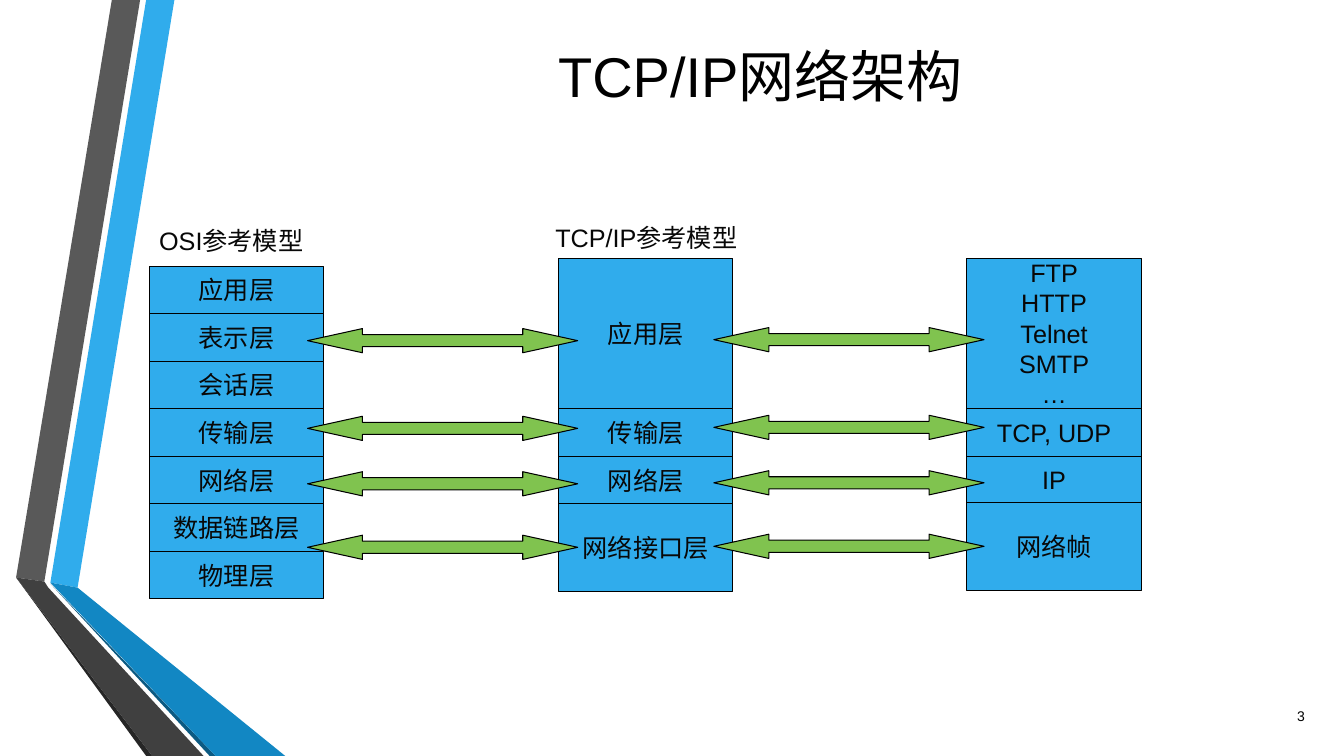
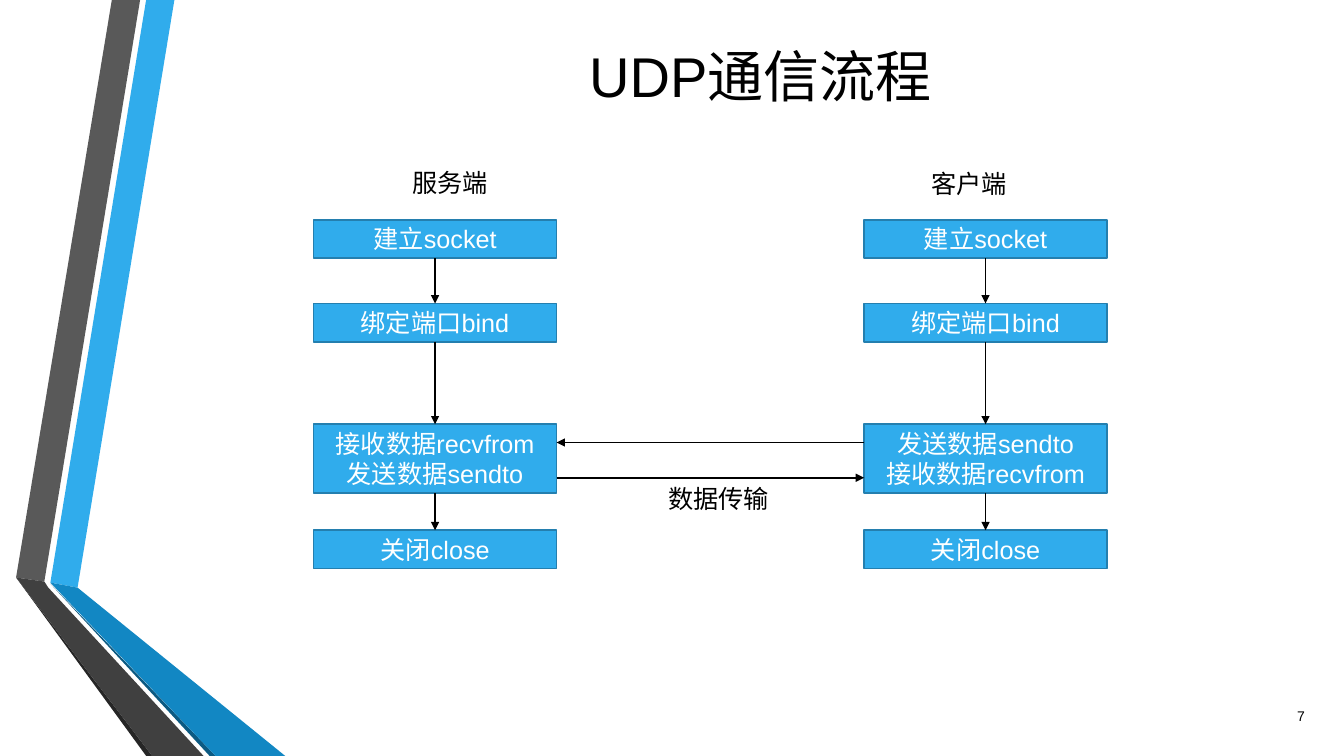
from itertools import pairwise

from lxml import etree
from pptx import Presentation
from pptx.dml.color import RGBColor
from pptx.enum.shapes import MSO_CONNECTOR, MSO_SHAPE
from pptx.enum.text import MSO_ANCHOR, PP_ALIGN
from pptx.oxml.ns import qn
from pptx.util import Inches, Pt

RECT, ARROW = MSO_SHAPE.RECTANGLE, MSO_SHAPE.LEFT_RIGHT_ARROW
LINE = MSO_CONNECTOR.STRAIGHT
MIDDLE, TOP = MSO_ANCHOR.MIDDLE, MSO_ANCHOR.TOP
LEFT, CENTER, RIGHT = PP_ALIGN.LEFT, PP_ALIGN.CENTER, PP_ALIGN.RIGHT

BLUE = RGBColor(0x30, 0xAC, 0xEC)
EDGE = RGBColor(0x24, 0x7F, 0xAF)
GREEN = RGBColor(0x80, 0xC3, 0x4F)
BLACK = RGBColor(0, 0, 0)
INK = RGBColor(8, 8, 8)
WHITE = RGBColor(255, 255, 255)
FONT = "Arial"

BANDS = [
    (BLUE, [(0.5, 5.78), (0.77, 5.83), (1.73, 0), (1.45, 0)]),
    (RGBColor(0x59, 0x59, 0x59), [(1.39, 0), (1.11, 0), (0.16, 5.73), (0.44, 5.77)]),
    (RGBColor(0x26, 0x26, 0x26), [(0.16, 5.73), (1.45, 7.5), (1.51, 7.5)]),
    (RGBColor(0x0C, 0x5A, 0x82), [(0.5, 5.79), (2.08, 7.5), (2.14, 7.5)]),
    (RGBColor(0x12, 0x87, 0xC3), [(0.5, 5.78), (2.14, 7.5), (2.83, 7.5), (0.77, 5.83)]),
    (RGBColor(0x40, 0x40, 0x40),
     [(2.02, 7.5), (0.48, 5.83), (0.44, 5.77), (0.16, 5.73), (1.51, 7.5)]),
]

TITLE = dict(size=40, align=CENTER, anchor=MIDDLE)
NUMBER = dict(size=10, align=RIGHT, anchor=MIDDLE)
HEAD = dict(color=INK)
NOTE = dict(wrap=False)
LAYER = dict(color=INK, align=CENTER, anchor=MIDDLE, wrap=False)
STEP = dict(color=WHITE, align=CENTER, anchor=MIDDLE)

OSI_TOP, OSI_END = 2.64, 5.94
OSI = ["应用层", "表示层", "会话层", "传输层", "网络层", "数据链路层", "物理层"]
OSI_ROWS = [OSI_TOP + i * (OSI_END - OSI_TOP) / len(OSI) for i in range(len(OSI) + 1)]
STACKS = [
    (1.48, OSI_ROWS, OSI),
    (5.54, [2.56, 4.05, 4.53, 5, 5.87], ["应用层", "传输层", "网络层", "网络接口层"]),
    (9.59, [2.56, 4.05, 4.53, 4.99, 5.86],
     ["FTP\nHTTP\nTelnet\nSMTP\n…", "TCP, UDP", "IP", "网络帧"]),
]
STACK_W = 1.73
HEADS = [("OSI参考模型", 1.48, 2.19, 1.89), ("TCP/IP参考模型", 5.41, 2.16, 2.13)]
ARROW_COLS = [(3.05, 0), (7.08, -0.01)]
ARROW_ROWS = [3.26, 4.13, 4.68, 5.31]

STEP_W = 2.41
STEP_ROWS = [(2.18, 0.38), (3.01, 0.38), (4.21, 0.68), (5.26, 0.38)]
SERVER, CLIENT = 3.11, 8.57
FLOWS = [
    (SERVER, ["建立socket", "绑定端口bind", "接收数据recvfrom\n发送数据sendto", "关闭close"]),
    (CLIENT, ["建立socket", "绑定端口bind", "发送数据sendto\n接收数据recvfrom", "关闭close"]),
]
NOTES = [("服务端", 3.99, 1.61, 0.96), ("客户端", 9.14, 1.62, 0.96),
         ("数据传输", 6.53, 4.75, 1.21)]


def put(item, **values):
    for name, value in values.items():
        setattr(item, name, value)


def write(shape, text, size=18, color=BLACK, align=LEFT, anchor=TOP, wrap=True):
    frame = shape.text_frame
    put(frame, text=text, word_wrap=wrap, vertical_anchor=anchor)
    for para in frame.paragraphs:
        para.alignment = align
        put(para.font, name=FONT, size=Pt(size))
        para.font.color.rgb = color


def label(page, text, x, y, w, h=0.4, **style):
    box = page.shapes.add_textbox(*map(Inches, (x, y, w, h)))
    write(box, text, **style)


def block(page, kind, x, y, w, h, fill=BLUE, edge=BLACK, width=0.75):
    shape = page.shapes.add_shape(kind, *map(Inches, (x, y, w, h)))
    shape.shadow.inherit = False
    shape.fill.solid()
    shape.fill.fore_color.rgb = fill
    shape.line.color.rgb = edge
    shape.line.width = Pt(width)
    return shape


def link(page, x1, y1, x2, y2):
    line = page.shapes.add_connector(LINE, *map(Inches, (x1, y1, x2, y2)))
    line.line.color.rgb = BLACK
    line.line.width = Pt(1.25)
    etree.SubElement(line.line._get_or_add_ln(), qn("a:tailEnd"), type="triangle")
    etree.SubElement(line._element.spPr, qn("a:effectLst"))
    return line


def start(deck, title, number):
    page = deck.slides.add_slide(deck.slide_layouts[6])
    for color, points in BANDS:
        first, *rest = [(Inches(x), Inches(y)) for x, y in points]
        path = page.shapes.build_freeform(*first)
        path.add_line_segments(rest, close=True)
        band = path.convert_to_shape()
        band.shadow.inherit = False
        band.fill.solid()
        band.fill.fore_color.rgb = color
        band.line.fill.background()
    label(page, title, 2.03, 0.26, 11.02, 0.98, **TITLE)
    label(page, str(number), 12.44, 6.9, 0.6, **NUMBER)
    return page


def layers(deck):
    page = start(deck, "TCP/IP网络架构", 3)
    for x, rows, names in STACKS:
        for name, (top, end) in zip(names, pairwise(rows)):
            write(block(page, RECT, x, top, STACK_W, end - top), name, **LAYER)
    for head in HEADS:
        label(page, *head, **HEAD)
    for x, shift in ARROW_COLS:
        for y in ARROW_ROWS:
            arrow = block(page, ARROW, x, y + shift, 2.68, 0.24, GREEN)
            arrow.adjustments[0] = 0.5
            arrow.adjustments[1] = 2.27


def flow(deck):
    page = start(deck, "UDP通信流程", 7)
    for x, names in FLOWS:
        steps = []
        for name, (y, h) in zip(names, STEP_ROWS):
            step = block(page, RECT, x, y, STEP_W, h, edge=EDGE, width=1.25)
            write(step, name, **STEP)
            steps.append(step)
        for above, below in pairwise(steps):
            line = link(page, x, 0, x, 1)
            line.begin_connect(above, 2)
            line.end_connect(below, 0)
    link(page, CLIENT, 4.39, SERVER + STEP_W, 4.39)
    link(page, SERVER + STEP_W, 4.74, CLIENT, 4.74)
    for note in NOTES:
        label(page, *note, **NOTE)


def main():
    deck = Presentation()
    put(deck, slide_width=Inches(13.33), slide_height=Inches(7.5))
    layers(deck)
    flow(deck)
    deck.save("out.pptx")


if __name__ == "__main__":
    main()
